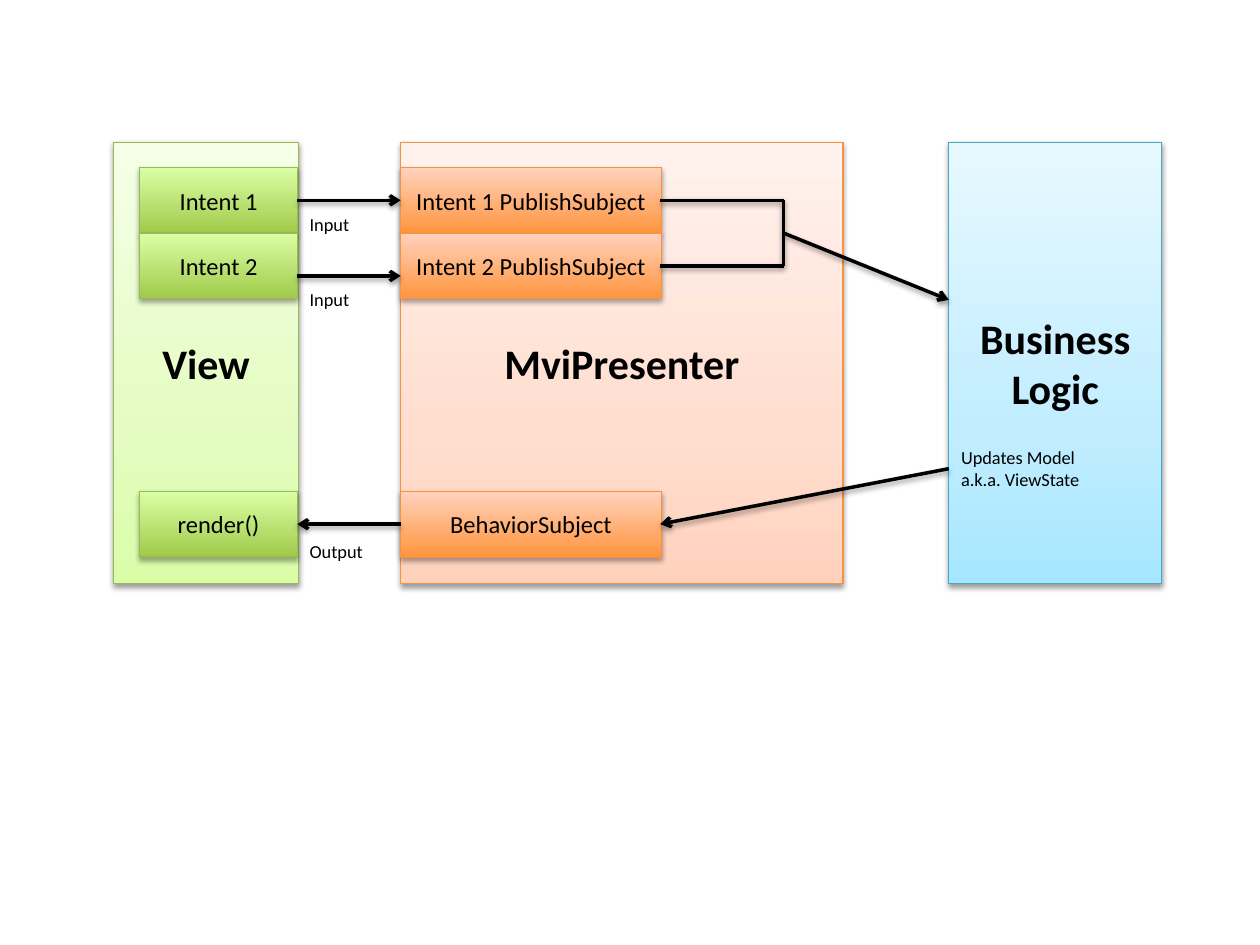
from dataclasses import dataclass

from lxml.etree import SubElement
from pptx import Presentation
from pptx.dml.color import RGBColor
from pptx.enum.shapes import MSO_CONNECTOR, MSO_SHAPE
from pptx.enum.text import MSO_ANCHOR, PP_ALIGN
from pptx.oxml.ns import qn
from pptx.util import Inches, Pt

BLACK = RGBColor(0x00, 0x00, 0x00)
GREEN = RGBColor(0x98, 0xB9, 0x55)
ORANGE = RGBColor(0xF6, 0x92, 0x40)
BLUE = RGBColor(0x46, 0xAA, 0xC5)

# Gradient stops run from the bottom edge to the top
PALE_GREEN = ((0, RGBColor(0xDA, 0xFD, 0xA7)), (35, RGBColor(0xE4, 0xFC, 0xC2)),
              (100, RGBColor(0xF5, 0xFF, 0xE7)))
PALE_ORANGE = ((0, RGBColor(0xFF, 0xD2, 0xBD)), (35, RGBColor(0xFF, 0xDE, 0xD0)),
               (100, RGBColor(0xFF, 0xF2, 0xED)))
PALE_BLUE = ((0, RGBColor(0xA7, 0xE6, 0xFF)), (35, RGBColor(0xC1, 0xED, 0xFF)),
             (100, RGBColor(0xE7, 0xF8, 0xFF)))
DEEP_GREEN = ((0, RGBColor(0xA0, 0xCA, 0x4A)), (100, RGBColor(0xDA, 0xFF, 0xA5)))
DEEP_ORANGE = ((0, RGBColor(0xFF, 0x95, 0x3E)), (100, RGBColor(0xFF, 0xD2, 0xBD)))

# Shared edges and rows, in inches
TOP, TALL = 1.13, 3.5
VIEW_END, HOST, LOGIC = 2.36, 3.18, 7.53
SUB_END, JOIN = 5.24, 6.22
ROW, FIRST, LAST = 0.52, 1.33, 3.9
MID_1, MID_2, MID_LAST = FIRST + ROW / 2, FIRST + ROW * 1.5, LAST + ROW / 2


@dataclass
class Box:
    text: str
    left: float
    top: float
    width: float
    height: float
    stops: tuple
    edge: RGBColor
    size: float = 14
    bold: bool = False
    shade: int = 35
    drop: float = 1.8


@dataclass
class Line:
    start: tuple[float, float]
    end: tuple[float, float]
    arrow: bool = True


@dataclass
class Label:
    text: str
    left: float
    top: float
    height: float = 0.28


def write(frame, text: str, *, size: float, bold: bool = False, align=PP_ALIGN.LEFT) -> None:
    frame.word_wrap = True
    frame.text = text
    for para in frame.paragraphs:
        para.alignment = align
        font = para.runs[0].font
        font.name, font.size, font.bold = "Calibri", Pt(size), bold
        font.color.rgb = BLACK


def add_shade(props, alpha: int, drop: float) -> None:
    """Cast a soft shadow straight down."""
    effects = SubElement(props, qn("a:effectLst"))
    outer = SubElement(effects, qn("a:outerShdw"), blurRad=str(Pt(3.1)),
                       dist=str(Pt(drop)), dir="5400000", rotWithShape="0")
    color = SubElement(outer, qn("a:srgbClr"), val=str(BLACK))
    SubElement(color, qn("a:alpha"), val=str(alpha * 1000))


def fill_stops(shape, stops: tuple) -> None:
    shape.fill.gradient()
    shape.fill.gradient_angle = 90
    group = shape.element.spPr.find(".//" + qn("a:gsLst"))
    for old in list(group):
        group.remove(old)
    for place, color in stops:
        stop = SubElement(group, qn("a:gs"), pos=str(place * 1000))
        SubElement(stop, qn("a:srgbClr"), val=str(color))


def add_box(slide, box: Box) -> None:
    shape = slide.shapes.add_shape(MSO_SHAPE.RECTANGLE, Inches(box.left), Inches(box.top),
                                   Inches(box.width), Inches(box.height))
    fill_stops(shape, box.stops)
    shape.line.color.rgb = box.edge
    shape.line.width = Pt(0.75)
    add_shade(shape.element.spPr, box.shade, box.drop)
    shape.text_frame.vertical_anchor = MSO_ANCHOR.MIDDLE
    write(shape.text_frame, box.text, size=box.size, bold=box.bold, align=PP_ALIGN.CENTER)


def add_line(slide, line: Line) -> None:
    ends = [Inches(value) for value in line.start + line.end]
    shape = slide.shapes.add_connector(MSO_CONNECTOR.STRAIGHT, *ends)
    shape.line.color.rgb = BLACK
    shape.line.width = Pt(2)
    if line.arrow:
        SubElement(shape.line._get_or_add_ln(), qn("a:tailEnd"), type="arrow")
    add_shade(shape.element.spPr, 38, 1.6)


def add_label(slide, label: Label) -> None:
    shape = slide.shapes.add_textbox(Inches(label.left), Inches(label.top),
                                     Inches(1.34), Inches(label.height))
    write(shape.text_frame, label.text, size=10.5)


def panel(text: str, left: float, width: float, stops: tuple, edge: RGBColor) -> Box:
    return Box(text, left, TOP, width, TALL, stops, edge, 24, True, 38, 1.6)


def main() -> None:
    deck = Presentation()
    deck.slide_width, deck.slide_height = Inches(10), Inches(7.5)
    slide = deck.slides.add_slide(deck.slide_layouts[6])

    # Three layers
    boxes = [panel("View", 0.9, 1.47, PALE_GREEN, GREEN),
             panel("MviPresenter", HOST, 3.51, PALE_ORANGE, ORANGE),
             panel("Business\nLogic", LOGIC, 1.69, PALE_BLUE, BLUE)]

    # Paired parts of view and presenter
    rows = [("Intent 1", "Intent 1 PublishSubject", FIRST),
            ("Intent 2", "Intent 2 PublishSubject", FIRST + ROW),
            ("render()", "BehaviorSubject", LAST)]
    for call, subject, top in rows:
        boxes.append(Box(subject, HOST, top, 2.07, ROW, DEEP_ORANGE, ORANGE))
        boxes.append(Box(call, 1.11, top, 1.25, ROW, DEEP_GREEN, GREEN))
    for box in boxes:
        add_box(slide, box)

    # Flow between the layers
    lines = [Line((VIEW_END, MID_1), (HOST, MID_1)),
             Line((VIEW_END, 2.19), (HOST, 2.19)),
             Line((HOST, MID_LAST), (VIEW_END, MID_LAST)),
             Line((JOIN, FIRST + ROW), (LOGIC, 2.38)),
             Line((SUB_END, MID_1), (JOIN, MID_1), False),
             Line((SUB_END, MID_2), (JOIN, MID_2), False),
             Line((LOGIC, 3.72), (SUB_END, MID_LAST)),
             Line((JOIN, MID_2), (JOIN, MID_1), False)]
    for line in lines:
        add_line(slide, line)

    # Notes beside the arrows
    labels = [Label("Updates Model\na.k.a. ViewState", LOGIC, 3.49, 0.45),
              Label("Input", VIEW_END, 2.24),
              Label("Input", VIEW_END, 1.64),
              Label("Output", VIEW_END, 4.24)]
    for label in labels:
        add_label(slide, label)

    deck.save("out.pptx")


if __name__ == "__main__":
    main()
